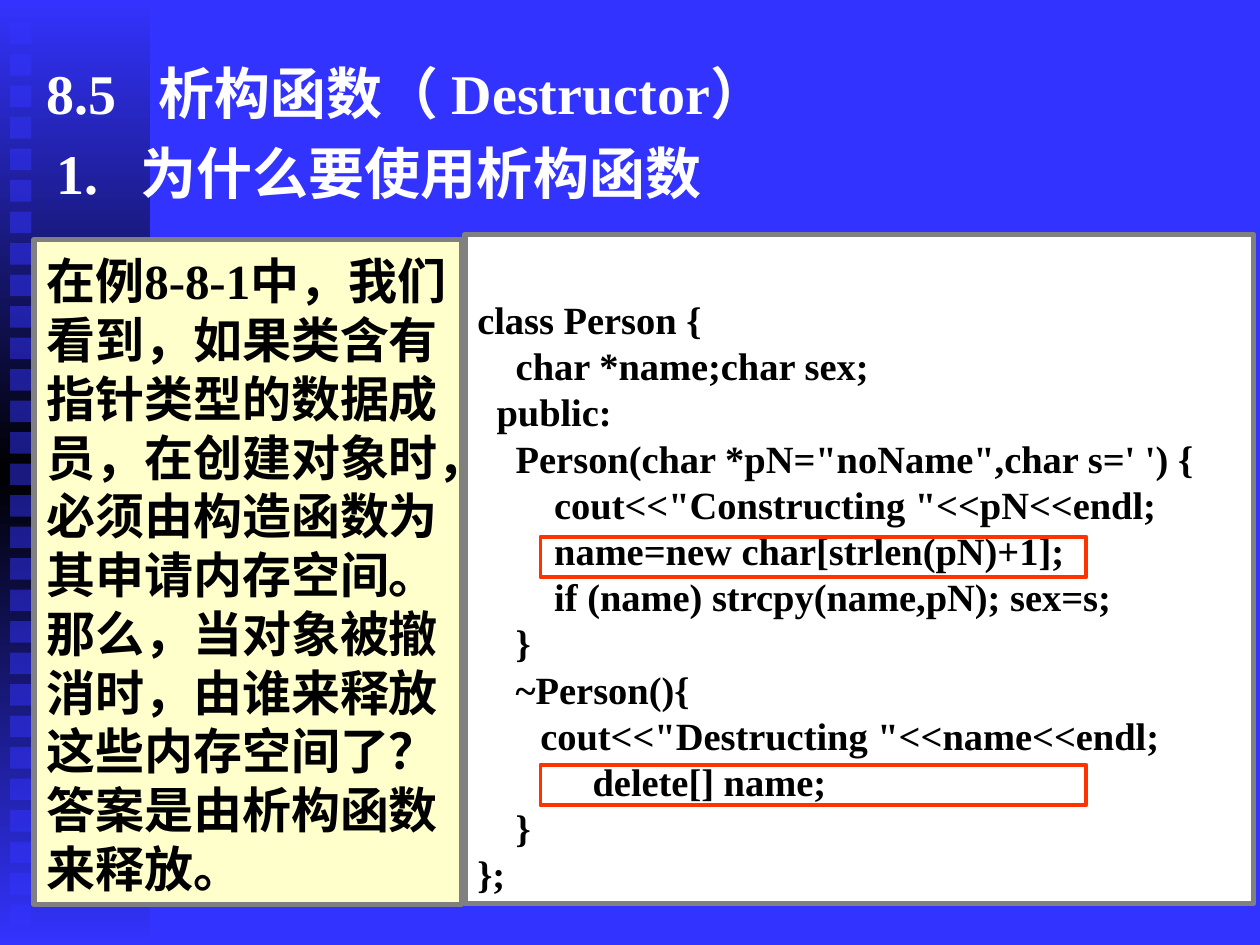
"""Builds a slide on why a C++ class with pointer members needs a destructor."""
from copy import deepcopy

from lxml import etree
from pptx import Presentation
from pptx.dml.color import RGBColor
from pptx.enum.shapes import MSO_SHAPE
from pptx.enum.text import MSO_ANCHOR, PP_ALIGN
from pptx.oxml.ns import qn
from pptx.util import Inches, Pt

RECTANGLE = MSO_SHAPE.RECTANGLE
TOP, MIDDLE = MSO_ANCHOR.TOP, MSO_ANCHOR.MIDDLE
LEFT = PP_ALIGN.LEFT

BLUE, BLACK, WHITE = "3333FF", "000000", "FFFFFF"
GRAY, CREAM, RED = "808080", "FFFFCC", "FF3300"
FONT = "Times New Roman"
TITLE_SIZE = 32

EXPLANATION = (
    "在例8-8-1中，我们看到，如果类含有指针类型的数据成员，在创建对象时，"
    "必须由构造函数为其申请内存空间。那么，当对象被撤消时，"
    "由谁来释放这些内存空间了？答案是由析构函数来释放。"
)
CODE = """class Person {
    char *name;char sex;
  public:
    Person(char *pN="noName",char s=' ') {
        cout<<"Constructing "<<pN<<endl;
        name=new char[strlen(pN)+1];
        if (name) strcpy(name,pN); sex=s;
    }
    ~Person(){
\tcout<<"Destructing "<<name<<endl;
            delete[] name;
    }
};"""


def color(value):
    return RGBColor.from_string(value)


def write(shape, lines, size, text_color, anchor, top_inset=0.05, tab_stop=None):
    frame = shape.text_frame
    frame.word_wrap = True
    frame.vertical_anchor = anchor
    frame.margin_left = frame.margin_right = Inches(0.1)
    frame.margin_top, frame.margin_bottom = Inches(top_inset), Inches(0.05)
    for index, line in enumerate(lines):
        paragraph = frame.add_paragraph() if index else frame.paragraphs[0]
        paragraph.alignment = LEFT
        paragraph.line_spacing = Pt(size * 1.2)
        if tab_stop:
            properties = paragraph._p.get_or_add_pPr()
            tabs = etree.SubElement(properties, qn("a:tabLst"))
            etree.SubElement(tabs, qn("a:tab"), pos=str(Inches(tab_stop)), algn="l")
        run = paragraph.add_run()
        run.text = line
        run.font.name = FONT
        run.font.size = Pt(size)
        run.font.bold = True
        run.font.color.rgb = color(text_color)


presentation = Presentation()
presentation.slide_width, presentation.slide_height = Inches(10), Inches(7.5)
slide = presentation.slides.add_slide(presentation.slide_layouts[5])
slide.background.fill.solid()
slide.background.fill.fore_color.rgb = color(BLUE)

side_band = slide.shapes.add_shape(RECTANGLE, 0, 0, Inches(1.19), Inches(7.5))
side_band.shadow.inherit = False
side_band.line.fill.background()
side_band.fill.gradient()
side_band.fill.gradient_angle = 90
first_stop = side_band.element.xpath(".//a:gs")[0]
first_stop.addnext(deepcopy(first_stop))
for stop, position, stop_color in zip(
    side_band.fill.gradient_stops, (0, 0.5, 1), (BLUE, BLACK, BLUE)
):
    stop.position = position
    stop.color.rgb = color(stop_color)

for row in range(29):
    square = slide.shapes.add_shape(
        RECTANGLE, Inches(0.08), Inches(0.18 + 0.25 * row), Inches(0.17), Inches(0.17)
    )
    square.shadow.inherit = False
    square.line.fill.background()
    square.fill.solid()
    square.fill.fore_color.rgb = color(BLUE)
    fill_color = square.element.spPr.find(qn("a:solidFill"))[0]
    etree.SubElement(fill_color, qn("a:alpha"), val="50000")

title = slide.shapes.title
slide.shapes.element.append(title.element)
title.left, title.top = Inches(0.27), Inches(0.28)
title.width, title.height = Inches(9.37), Inches(0.91)
write(title, ["8.5\t析构函数（ Destructor）"], TITLE_SIZE, WHITE, MIDDLE, tab_stop=0.89)

subtitle = slide.shapes.add_textbox(
    Inches(0.35), Inches(0.91), Inches(9.37), Inches(0.91)
)
write(subtitle, ["1.\t为什么要使用析构函数"], TITLE_SIZE, WHITE, MIDDLE, tab_stop=0.67)

panels = [
    (0.27, 1.9, 3.39, 5.28, CREAM, [EXPLANATION], 28, 0.09),
    (3.69, 1.86, 6.26, 5.31, WHITE, CODE.split("\n"), 22, 0.49),
]
for left, top, width, height, fill, lines, size, top_inset in panels:
    panel = slide.shapes.add_shape(
        RECTANGLE, Inches(left), Inches(top), Inches(width), Inches(height)
    )
    panel.shadow.inherit = False
    panel.fill.solid()
    panel.fill.fore_color.rgb = color(fill)
    panel.line.color.rgb = color(GRAY)
    panel.line.width = Pt(3)
    write(panel, lines, size, BLACK, TOP, top_inset)

for top in (4.26, 6.07):
    highlight = slide.shapes.add_shape(
        RECTANGLE, Inches(4.29), Inches(top), Inches(4.33), Inches(0.32)
    )
    highlight.shadow.inherit = False
    highlight.fill.background()
    highlight.line.color.rgb = color(RED)
    highlight.line.width = Pt(2.25)

presentation.save("out.pptx")
